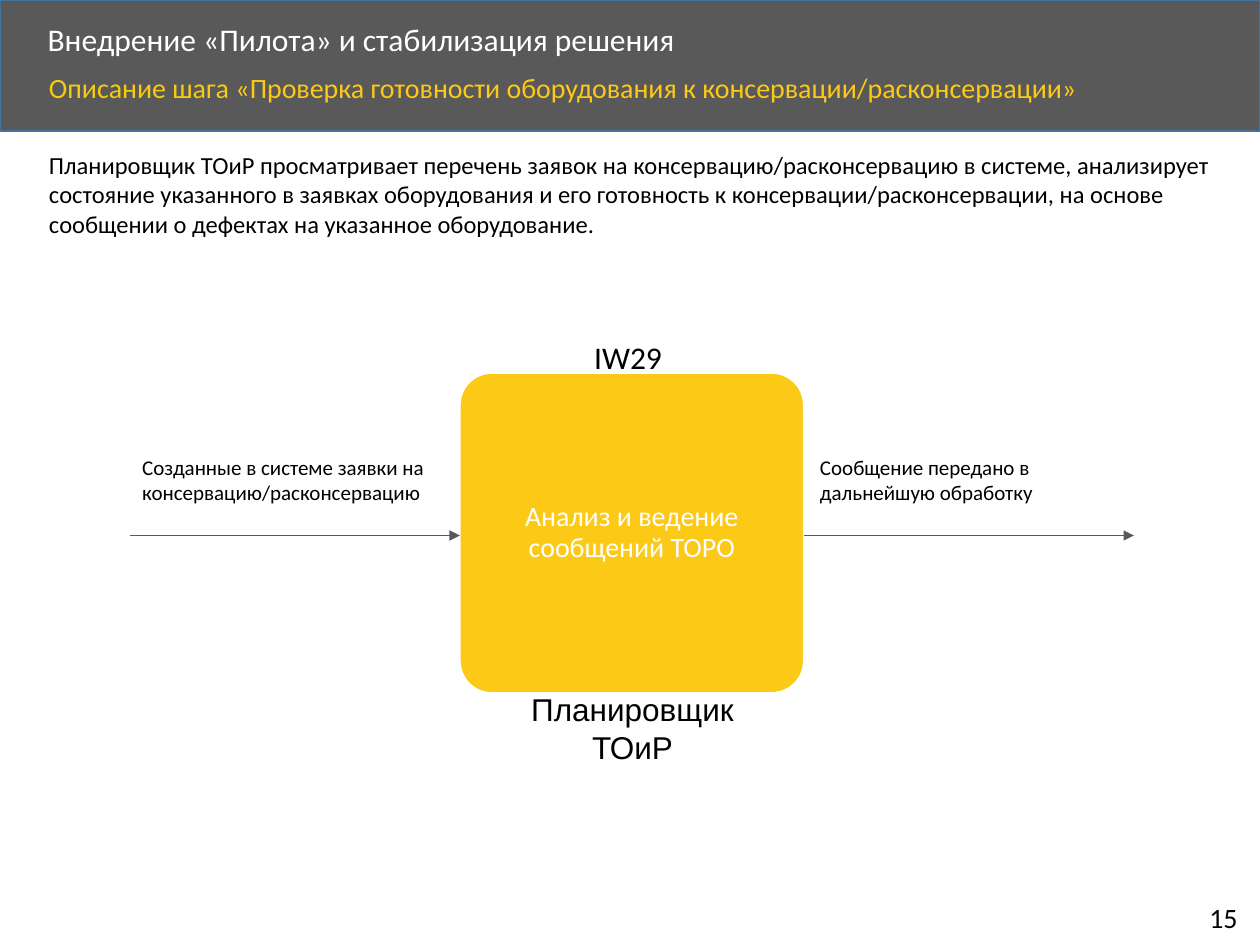
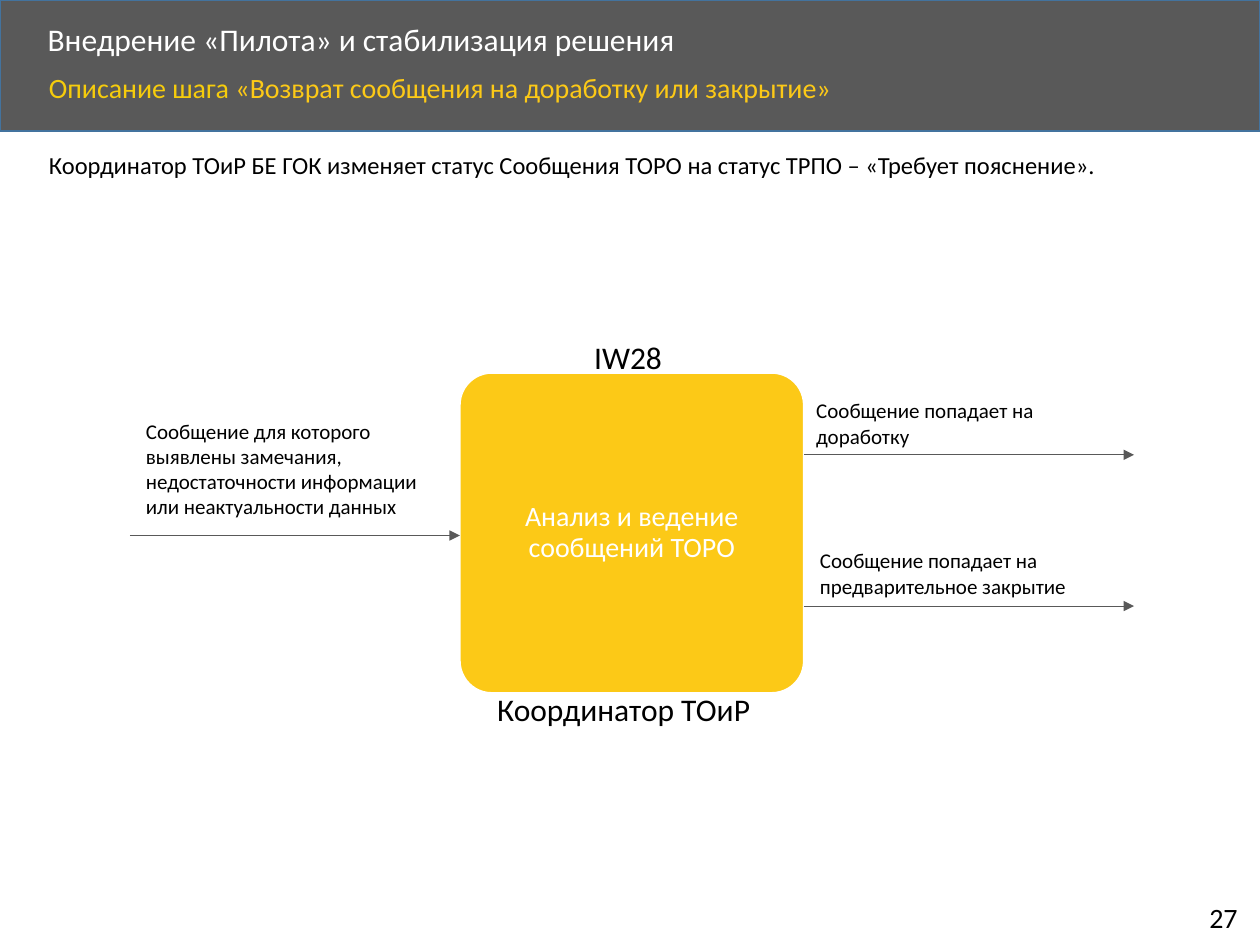
import pptx
import pptx.util
import pptx.dml.color
import pptx.enum.shapes
import pptx.enum.text
import pptx.oxml
import pptx.oxml.ns

Inches = pptx.util.Inches
SHAPE = pptx.enum.shapes.MSO_SHAPE
ALIGN = pptx.enum.text.PP_ALIGN
ANCHOR = pptx.enum.text.MSO_ANCHOR

DARK, ACCENT, WHITE, BLACK = "595959", "FCC917", "FFFFFF", "000000"
BAND_EDGE, SUBTITLE_LEAD = "43739E", "F6CC0C"
ARROW_LENGTH = 2.62
INPUT_X, OUTPUT_X = 1.03, 6.38


def color(value):
    return pptx.dml.color.RGBColor.from_string(value)


def apply(target, values):
    for name, value in values.items():
        setattr(target, name, value)


class StepDeck:
    font = "Calibri"

    def __init__(self):
        self.deck = pptx.Presentation()
        apply(self.deck, {"slide_width": Inches(10), "slide_height": Inches(7.5)})
        self.slide = None

    def fill_frame(self, frame, runs, size, align=ALIGN.LEFT, spacing=1.0, font=None):
        """Fill a frame with one paragraph of (text, colour) runs."""
        paragraph = frame.paragraphs[0]
        apply(paragraph, {"alignment": align, "line_spacing": spacing})
        for words, shade in runs:
            run = paragraph.add_run()
            run.text = words
            apply(run.font, {"name": font or self.font, "size": pptx.util.Pt(size)})
            run.font.color.rgb = color(shade)

    def text(self, at, runs, size, anchor=ANCHOR.TOP, wrap=True, **style):
        if isinstance(runs, str):
            runs = [(runs, BLACK)]
        frame = self.slide.shapes.add_textbox(*map(Inches, at)).text_frame
        apply(frame, {"word_wrap": wrap, "vertical_anchor": anchor})
        self.fill_frame(frame, runs, size, **style)

    def block(self, preset, at, fill, edge):
        block = self.slide.shapes.add_shape(preset, *map(Inches, at))
        block.shadow.inherit = False
        block.fill.solid()
        block.fill.fore_color.rgb = color(fill)
        block.line.color.rgb = color(edge)
        block.line.width = pptx.util.Pt(1)
        return block

    def arrow(self, x, y):
        arrow = self.slide.shapes.add_connector(
            pptx.enum.shapes.MSO_CONNECTOR.STRAIGHT,
            Inches(x), Inches(y), Inches(x + ARROW_LENGTH), Inches(y))
        arrow.line.color.rgb = color(DARK)
        arrow.line.width = pptx.util.Pt(0.5)
        properties = arrow.element.spPr
        head = pptx.oxml.parse_xml(
            '<a:tailEnd %s type="triangle"/>' % pptx.oxml.ns.nsdecls("a"))
        properties.find(pptx.oxml.ns.qn("a:ln")).append(head)
        properties.append(properties.makeelement(pptx.oxml.ns.qn("a:effectLst"), {}))

    def start(self, number, step):
        """Add a slide with its title band and page number."""
        self.slide = self.deck.slides.add_slide(self.deck.slide_layouts[6])
        self.block(SHAPE.RECTANGLE, (0, 0, 10, 1.04), DARK, BAND_EDGE)
        self.text((0.28, 0.14, 8.07, 0.38),
                  [("Внедрение «Пилота» и стабилизация решения", WHITE)], 18,
                  anchor=ANCHOR.MIDDLE, spacing=0.9)
        self.text((9.5, 7.1, 0.46, 0.37), number, 16)
        self.text((0.29, 0.54, 8.65, 0.45),
                  [("Описание шага ", SUBTITLE_LEAD), (step, ACCENT)], 16, spacing=0.9)

    def process(self, transaction, role, role_x, role_font=None):
        """Draw the central step, its transaction code above and its role below."""
        step = self.block(SHAPE.ROUNDED_RECTANGLE, (3.65, 2.96, 2.73, 2.54), ACCENT, WHITE)
        step.adjustments[0] = 0.1
        apply(step.text_frame, {"word_wrap": True, "vertical_anchor": ANCHOR.MIDDLE})
        self.fill_frame(step.text_frame, [("Анализ и ведение сообщений ТОРО", WHITE)], 16,
                        align=ALIGN.CENTER, spacing=0.9)
        self.text((4.61, 2.63, 0.75, 0.4), transaction, 18, wrap=False, align=ALIGN.CENTER)
        self.text((role_x, 5.43, 2.5, 0.4), role, 18, wrap=False,
                  align=ALIGN.CENTER, font=role_font)

    def flow(self, x, y, label, label_x, label_y, label_height=0.5):
        self.arrow(x, y)
        self.text((label_x, label_y, 2.57, label_height), label, 12)

    def summary(self, words, height):
        self.text((0.29, 1.14, 9.46, height), words, 14)


def main():
    steps = StepDeck()

    steps.start("15", "«Проверка готовности оборудования к консервации/расконсервации»")
    steps.process("IW29", "Планировщик ТОиР", 3.77, "Arial")
    steps.flow(INPUT_X, 4.25, "Созданные в системе заявки на консервацию/расконсервацию",
               1.03, 3.56)
    steps.flow(OUTPUT_X, 4.25, "Сообщение передано в дальнейшую обработку", 6.41, 3.56)
    steps.summary(
        "Планировщик ТОиР просматривает перечень заявок на консервацию/расконсервацию "
        "в системе, анализирует состояние указанного в заявках оборудования и его "
        "готовность к консервации/расконсервации, на основе сообщении о дефектах "
        "на указанное оборудование.", 0.81)

    steps.start("27", "«Возврат сообщения на доработку или закрытие»")
    steps.process("IW28", "Координатор ТОиР", 3.7)
    steps.flow(INPUT_X, 4.25,
               "Сообщение для которого выявлены замечания, недостаточности "
               "информации или неактуальности данных", 1.06, 3.27, 0.91)
    steps.flow(OUTPUT_X, 3.61, "Сообщение попадает на доработку", 6.38, 3.11)
    steps.flow(OUTPUT_X, 4.81, "Сообщение попадает на предварительное закрытие", 6.41, 4.3)
    steps.summary("Координатор ТОиР БЕ ГОК изменяет статус Сообщения ТОРО на статус "
                  "ТРПО – «Требует пояснение».", 0.34)

    steps.deck.save("out.pptx")


if __name__ == "__main__":
    main()
